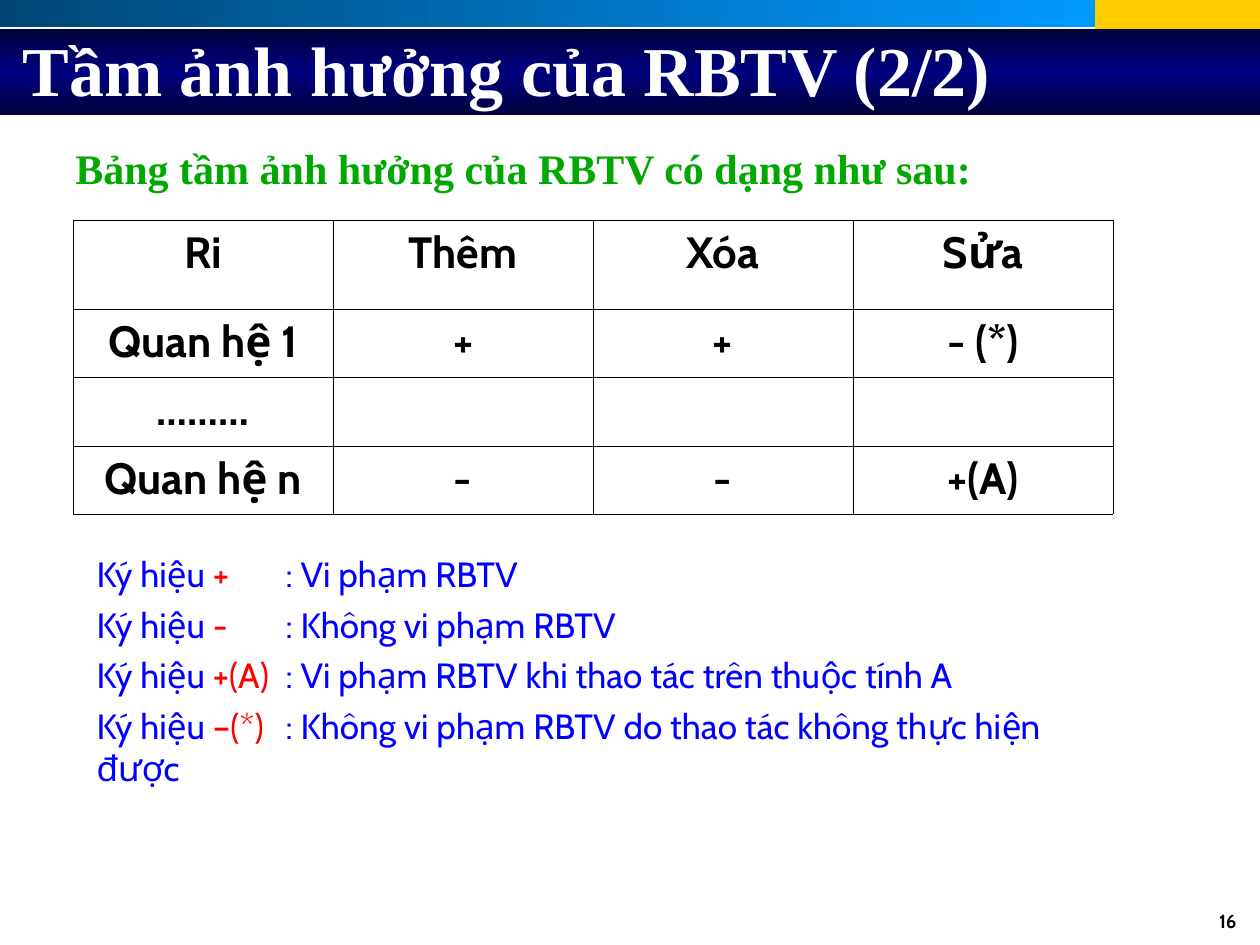
from typing import NamedTuple

from lxml import etree
from pptx import Presentation
from pptx.dml.color import RGBColor
from pptx.enum.shapes import MSO_SHAPE
from pptx.enum.text import MSO_ANCHOR, MSO_AUTO_SIZE, PP_ALIGN
from pptx.oxml.ns import qn
from pptx.util import Emu, Pt

RECT = MSO_SHAPE.RECTANGLE
TOP, MIDDLE = MSO_ANCHOR.TOP, MSO_ANCHOR.MIDDLE
LEFT, CENTER, RIGHT = PP_ALIGN.LEFT, PP_ALIGN.CENTER, PP_ALIGN.RIGHT
FIXED = MSO_AUTO_SIZE.NONE
SCALE = 914400 / 126
COLORS = {
    "white": "FFFFFF", "black": "000000", "gold": "FFCC00",
    "deep": "004776", "sky": "0099FF", "night": "00003B", "navy": "000080",
    "blue": "0000FF", "red": "FF0000", "green": "00A800",
}
SERIF, SANS = "Times New Roman", "Cabin"


class Box(NamedTuple):
    left: int
    top: int
    width: int
    height: int


class Band(NamedTuple):
    box: Box
    stops: tuple
    angle: int = 0


class Style(NamedTuple):
    face: str
    size: float
    color: str
    bold: bool = True


class Note(NamedTuple):
    sign: str
    tab: int
    text: str


BANDS = [
    Band(Box(1095, 0, 165, 35), ("gold",)),
    Band(Box(0, 0, 1095, 27), ("deep", "sky")),
    Band(Box(0, 29, 1260, 86), ("night", "navy", "night"), 90),
]
GRID = [
    ("Ri", "Thêm", "Xóa", "Sửa"),
    ("Quan hệ 1", "+", "+", "- (*)"),
    ("………", "", "", ""),
    ("Quan hệ n", "-", "-", "+(A)"),
]
ROWS = (89, 68, 69, 68)
COLUMN = 260
NOTES = [
    Note("+", 171, "Vi phạm RBTV"),
    Note("-", 178, "Không vi phạm RBTV"),
    Note("+(A)", 179, "Vi phạm RBTV khi thao tác trên thuộc tính A"),
    Note("–(*)", 182, "Không vi phạm RBTV do thao tác không thực hiện được"),
]
HEAD = Style(SERIF, 40, "white")
LEAD = Style(SERIF, 24, "green")
CELL = Style(SANS, 25, "black")
PAGE = Style(SANS, 10.8, "black")
PLAIN = Style(SANS, 20, "blue", False)
MARK = PLAIN._replace(color="red")


def px(value: int) -> Emu:
    return Emu(round(value * SCALE))


def rgb(name: str) -> RGBColor:
    return RGBColor.from_string(COLORS[name])


def place(shape, box: Box) -> None:
    for key, value in box._asdict().items():
        setattr(shape, key, px(value))


def write(para, text: str, style: Style, align=LEFT) -> None:
    para.alignment = align
    run = para.add_run()
    run.text = text
    look = {"name": style.face, "size": Pt(style.size), "bold": style.bold}
    for key, value in look.items():
        setattr(run.font, key, value)
    run.font.color.rgb = rgb(style.color)


def frame(shape, anchor=TOP):
    look = {"word_wrap": True, "auto_size": FIXED, "vertical_anchor": anchor}
    for key, value in look.items():
        setattr(shape.text_frame, key, value)
    return shape.text_frame


def label(slide, box: Box, text: str, style: Style, align=LEFT) -> None:
    shape = slide.shapes.add_textbox(*map(px, box))
    write(frame(shape).paragraphs[0], text, style, align)


def draw_band(slide, band: Band) -> None:
    shape = slide.shapes.add_shape(RECT, *map(px, band.box))
    shape.shadow.inherit = False
    shape.line.fill.background()
    if len(band.stops) == 1:
        shape.fill.solid()
        shape.fill.fore_color.rgb = rgb(band.stops[0])
        return
    shape.fill.gradient()
    shape.fill.gradient_angle = band.angle
    stops = next(shape.element.iter(qn("a:gsLst")))
    stops.clear()
    step = 100000 // (len(band.stops) - 1)
    for i, name in enumerate(band.stops):
        stop = etree.SubElement(stops, qn("a:gs"), pos=str(i * step))
        etree.SubElement(stop, qn("a:srgbClr"), val=COLORS[name])


def border(cell) -> None:
    props = cell._tc.get_or_add_tcPr()
    for i, side in enumerate("LRTB"):
        line = etree.Element(qn(f"a:ln{side}"), w=str(Pt(0.45)))
        fill = etree.SubElement(line, qn("a:solidFill"))
        etree.SubElement(fill, qn("a:srgbClr"), val=COLORS["black"])
        props.insert(i, line)


def draw_table(slide) -> None:
    box = Box(73, 220, COLUMN * len(GRID[0]), sum(ROWS))
    table = slide.shapes.add_table(len(GRID), len(GRID[0]), *map(px, box)).table
    table.first_row = table.horz_banding = False
    for column in table.columns:
        column.width = px(COLUMN)
    for row, height, texts in zip(table.rows, ROWS, GRID):
        row.height = px(height)
        for cell, text in zip(row.cells, texts):
            cell.fill.solid()
            cell.fill.fore_color.rgb = rgb("white")
            border(cell)
            if text:
                write(cell.text_frame.paragraphs[0], text, CELL, CENTER)


def draw_notes(shape) -> None:
    place(shape, Box(84, 546, 1050, 249))
    body = frame(shape)
    for i, note in enumerate(NOTES):
        para = body.add_paragraph() if i else body.paragraphs[0]
        para.space_before = Pt(5 if i else 0)
        props = para._p.get_or_add_pPr()
        for key in ("marL", "indent"):
            props.set(key, "0")
        etree.SubElement(props, qn("a:buNone"))
        tabs = etree.SubElement(props, qn("a:tabLst"))
        etree.SubElement(tabs, qn("a:tab"), pos=str(px(note.tab)), algn="l")
        write(para, "Ký hiệu ", PLAIN)
        write(para, note.sign, MARK)
        write(para, f"\t: {note.text}", PLAIN)


def main() -> None:
    deck = Presentation()
    deck.slide_width, deck.slide_height = px(1260), px(945)
    slide = deck.slides.add_slide(deck.slide_layouts[1])
    title, body = slide.placeholders
    for band in BANDS:
        draw_band(slide, band)
    for shape in (title, body):
        slide.shapes.element.append(shape.element)
    place(title, Box(10, -10, 1187, 158))
    write(frame(title, MIDDLE).paragraphs[0], "Tầm ảnh hưởng của RBTV (2/2)", HEAD)
    label(slide, Box(63, 136, 1103, 63),
          "Bảng tầm ảnh hưởng của RBTV có dạng như sau:", LEAD)
    draw_table(slide)
    draw_notes(body)
    label(slide, Box(955, 903, 294, 40), "16", PAGE, RIGHT)
    deck.save("out.pptx")


if __name__ == "__main__":
    main()
